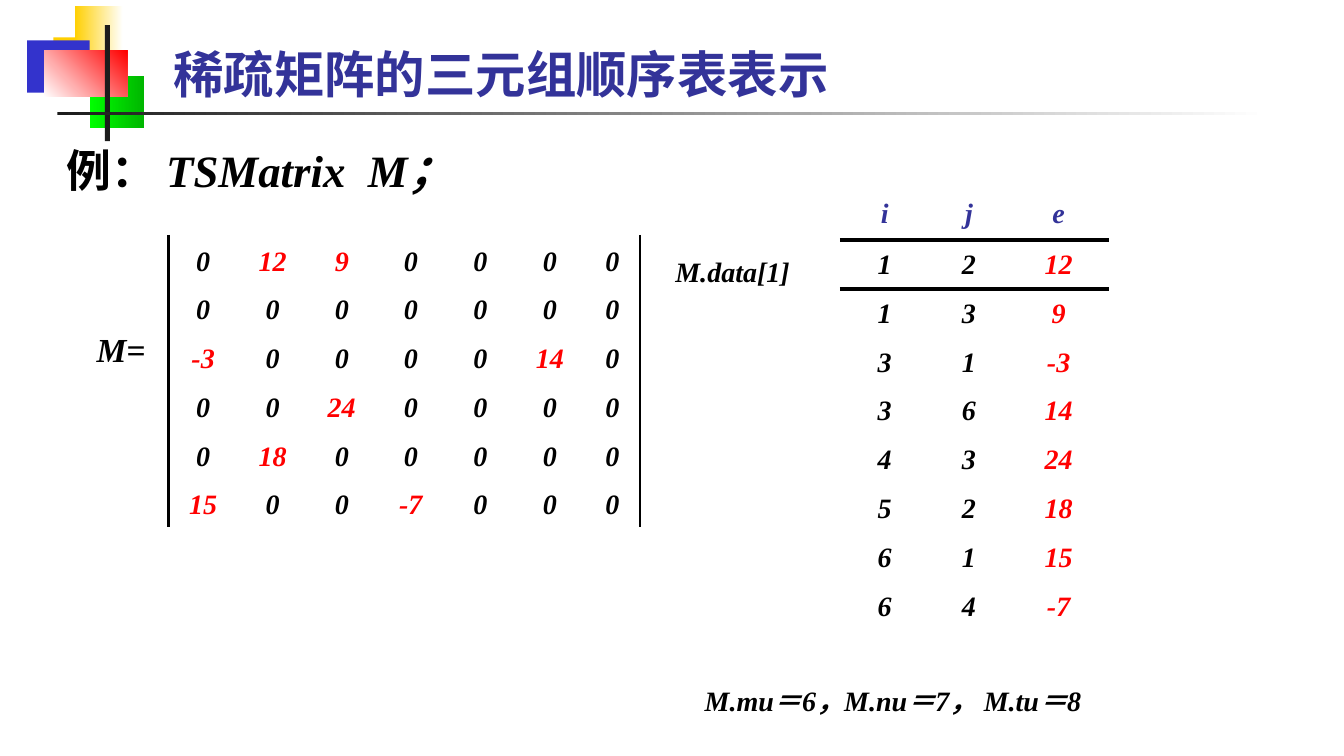
from dataclasses import dataclass

from lxml import etree
from pptx import Presentation
from pptx.dml.color import RGBColor
from pptx.enum.shapes import MSO_SHAPE
from pptx.enum.text import MSO_ANCHOR, MSO_AUTO_SIZE, PP_ALIGN
from pptx.oxml.ns import qn
from pptx.util import Pt

RECTANGLE = MSO_SHAPE.RECTANGLE
TOP, MIDDLE, BOTTOM = MSO_ANCHOR.TOP, MSO_ANCHOR.MIDDLE, MSO_ANCHOR.BOTTOM
CENTER = PP_ALIGN.CENTER
FIT_SHAPE = MSO_AUTO_SIZE.SHAPE_TO_FIT_TEXT

EMU_PER_PX = 9144  # 100 px to the inch
PLAIN_TABLE_STYLE = "{2D5ABB26-0587-4C30-8999-92F81FD0307C}"


@dataclass(frozen=True)
class Theme:
    heading_font: str = "Arial Narrow"
    math_font: str = "Times New Roman"
    title_size: int = 36
    body_size: int = 32
    name_size: int = 24
    value_size: int = 20
    ink: str = "000000"
    title: str = "333399"
    nonzero: str = "FF0000"
    yellow: str = "FFCF01"
    blue: str = "3333CC"
    green: str = "00FF00"
    dark_green: str = "00B600"
    red: str = "FF0000"
    bar: str = "1C1C1C"
    white: str = "FFFFFF"


THEME = Theme()

MATRIX = [
    [0, 12, 9, 0, 0, 0, 0],
    [0, 0, 0, 0, 0, 0, 0],
    [-3, 0, 0, 0, 0, 14, 0],
    [0, 0, 24, 0, 0, 0, 0],
    [0, 18, 0, 0, 0, 0, 0],
    [15, 0, 0, -7, 0, 0, 0],
]
TRIPLES = [
    (i, j, value)
    for i, row in enumerate(MATRIX, 1)
    for j, value in enumerate(row, 1)
    if value
]


def px(*lengths):
    return [length * EMU_PER_PX for length in lengths]


def set_font(font, size, color, name=THEME.math_font, italic=True):
    font.size, font.name = Pt(size), name
    font.bold, font.italic = True, italic
    font.color.rgb = RGBColor.from_string(color)


def add_block(slide, box, colors, angle=0):
    """Draw a borderless rectangle: one colour is solid, two make a gradient."""
    shape = slide.shapes.add_shape(RECTANGLE, *px(*box))
    shape.shadow.inherit = False
    shape.line.fill.background()
    if len(colors) == 1:
        shape.fill.solid()
        shape.fill.fore_color.rgb = RGBColor.from_string(colors[0])
        return
    shape.fill.gradient()
    shape.fill.gradient_angle = angle
    for stop, color in zip(shape.fill.gradient_stops, colors):
        stop.color.rgb = RGBColor.from_string(color)


def add_decoration(slide, left, top):
    blocks = [
        ((26, 31, 64, 52), [THEME.yellow], 0),
        ((47, 0, 48, 52), [THEME.yellow, THEME.white], 0),
        ((0, 34, 62, 52), [THEME.blue], 0),
        ((62, 69, 54, 52), [THEME.green, THEME.dark_green], 0),
        ((17, 44, 82, 46), [THEME.white, THEME.red], 45),
        ((77, 19, 5, 115), [THEME.bar], 0),
        ((30, 105, 1200, 3), [THEME.bar, THEME.white], 0),
    ]
    for (x, y, width, height), colors, angle in blocks:
        add_block(slide, (left + x, top + y, width, height), colors, angle)


def add_text_frame(slide, box, anchor=TOP):
    text_frame = slide.shapes.add_textbox(*px(*box)).text_frame
    text_frame.word_wrap = True
    text_frame.vertical_anchor = anchor
    return text_frame


def add_title(slide, box):
    paragraph = add_text_frame(slide, box, BOTTOM).paragraphs[0]
    paragraph.text = "稀疏矩阵的三元组顺序表表示"
    set_font(paragraph.font, THEME.title_size, THEME.title,
             THEME.heading_font, italic=False)


def add_example(slide, box):
    paragraph = add_text_frame(slide, box).paragraphs[0]
    for text, name, italic in [
        ("例： ", THEME.heading_font, False),
        ("TSMatrix  M；", THEME.math_font, True),
    ]:
        run = paragraph.add_run()
        run.text = text
        set_font(run.font, THEME.body_size, THEME.ink, name, italic)


def add_label(slide, box, text, size=THEME.value_size):
    text_frame = add_text_frame(slide, box)
    text_frame.auto_size = FIT_SHAPE
    paragraph = text_frame.paragraphs[0]
    paragraph.text = text
    set_font(paragraph.font, size, THEME.ink)


def add_border(cell, side, points):
    """Add a border on side L, R, T or B of a cell."""
    line = etree.SubElement(cell._tc.get_or_add_tcPr(), qn(f"a:ln{side}"),
                            w=str(Pt(points)))
    fill = etree.SubElement(line, qn("a:solidFill"))
    etree.SubElement(fill, qn("a:srgbClr"), val=THEME.ink)


def add_plain_table(slide, box, widths, heights):
    frame = slide.shapes.add_table(len(heights), len(widths), *px(*box))
    table = frame.table
    table.first_row = table.horz_banding = False
    next(frame._element.iter(qn("a:tableStyleId"))).text = PLAIN_TABLE_STYLE
    for column, width in zip(table.columns, px(*widths)):
        column.width = width
    for row, height in zip(table.rows, px(*heights)):
        row.height = height
    return table


def fill_cell(cell, value, color, anchor):
    cell.fill.background()
    cell.vertical_anchor = anchor
    cell.margin_left, cell.margin_top, cell.margin_right, cell.margin_bottom = \
        px(13, 5, 13, 5)
    paragraph = cell.text_frame.paragraphs[0]
    paragraph.text = str(value)
    paragraph.alignment = CENTER
    paragraph.line_spacing = 1.15
    set_font(paragraph.font, THEME.value_size, color)


def add_matrix(slide, box):
    widths = [69, 69, 68, 69, 69, 69, 55]
    table = add_plain_table(slide, box, widths, [39] * len(MATRIX))
    sides = {0: "L", len(widths) - 1: "R"}
    for i, row in enumerate(MATRIX):
        for j, value in enumerate(row):
            cell = table.cell(i, j)
            if j in sides:
                add_border(cell, sides[j], 2.25)
            fill_cell(cell, value, THEME.nonzero if value else THEME.ink, MIDDLE)


def add_triples(slide, box):
    rows = [("i", "j", "e"), *TRIPLES]
    table = add_plain_table(slide, box, [89, 78, 100], [51] + [46] * len(TRIPLES))
    sides = {0: "B", 1: "T"}
    for i, row in enumerate(rows):
        colors = [THEME.ink, THEME.ink, THEME.nonzero] if i else [THEME.title] * 3
        for j, (value, color) in enumerate(zip(row, colors)):
            cell = table.cell(i, j)
            if i in sides:
                add_border(cell, sides[i], 3)
            fill_cell(cell, value, color, TOP)


def main():
    presentation = Presentation()
    presentation.slide_width, presentation.slide_height = px(1333, 750)
    slide = presentation.slides.add_slide(presentation.slide_layouts[6])
    add_decoration(slide, 27, 6)
    add_example(slide, (56, 137, 1243, 588))
    add_triples(slide, (833, 187, 267, 438))
    add_matrix(slide, (167, 233, 467, 290))
    add_label(slide, (86, 321, 111, 50), "M=", THEME.name_size)
    add_label(slide, (660, 248, 200, 43), "M.data[1]")
    add_label(slide, (689, 673, 544, 43), "M.mu＝6，M.nu＝7， M.tu＝8")
    add_title(slide, (162, 25, 1136, 83))
    presentation.save("out.pptx")


if __name__ == "__main__":
    main()
